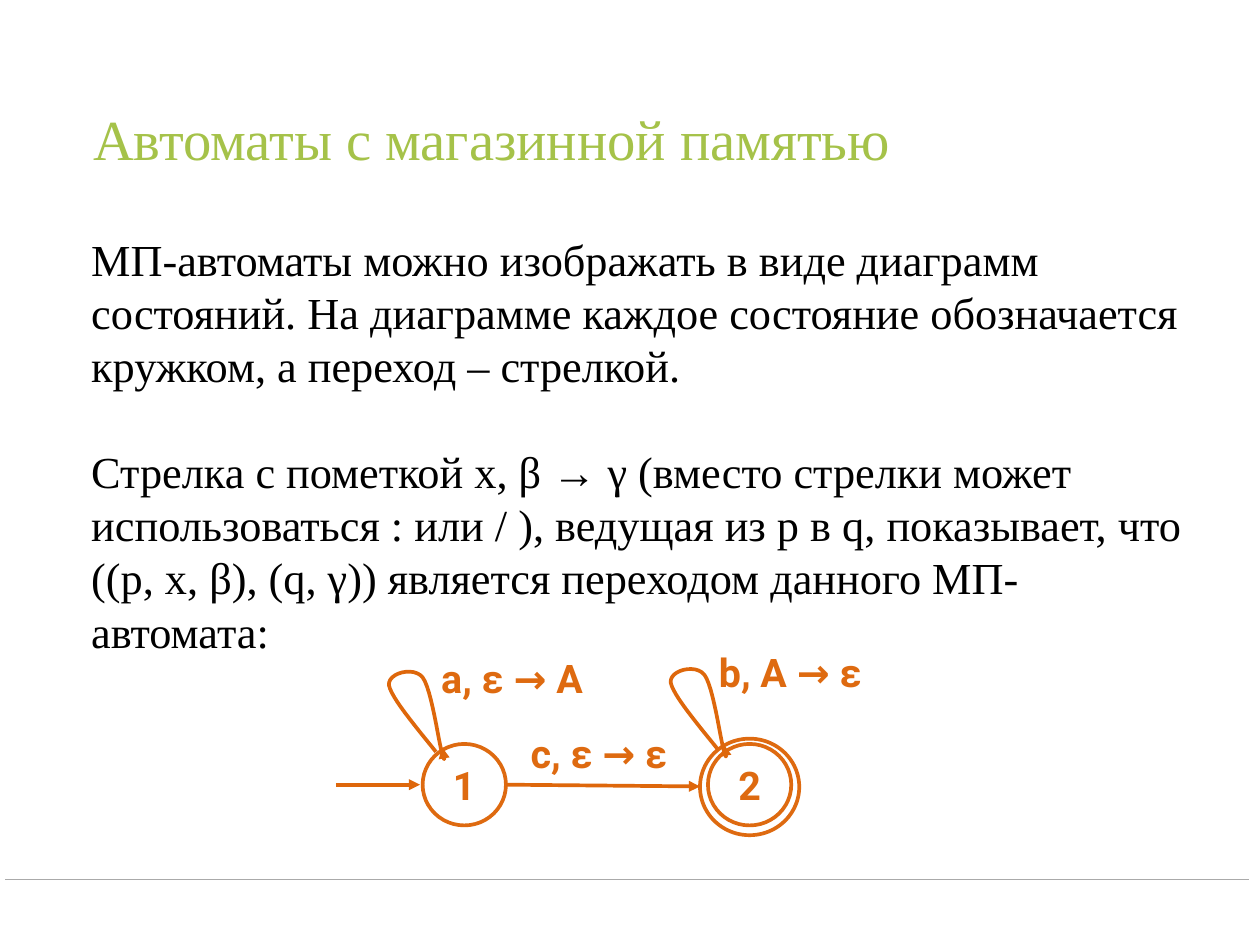
from pptx import Presentation
from pptx.dml.color import RGBColor as RGB
from pptx.enum.shapes import MSO_CONNECTOR as CONN, MSO_SHAPE as SHAPE
from pptx.enum.text import MSO_ANCHOR as ANCHOR, PP_ALIGN as ALIGN
from pptx.oxml.ns import qn
from pptx.util import Pt
from lxml.etree import SubElement

PX = 9144  # EMU per px, 100 px to the inch


class Theme:
    title, text, rule = RGB(0xA5, 0xC2, 0x49), RGB(0, 0, 0), RGB(0xAA, 0xAA, 0xAA)
    state, edge, paper = RGB(0xDE, 0x6A, 0x10), RGB(0xDE, 0x67, 0x0B), RGB(255, 255, 255)
    serif, sans = "Times New Roman", "Roboto"
    title_pt, body_pt, label_pt = 46, 36, 32
    rule_pt, edge_pt = 1, 3


TITLE = dict(name=Theme.serif, size=Pt(Theme.title_pt), color=Theme.title)
BODY = dict(name=Theme.serif, size=Pt(Theme.body_pt), color=Theme.text)
LABEL = dict(name=Theme.sans, size=Pt(Theme.label_pt), color=Theme.state, bold=True)


def emu(*values):
    return [round(v * PX) for v in values]


def write(sp, paragraphs, font, inset, para=None, wrap=True, anchor=ANCHOR.MIDDLE):
    tf = sp.text_frame
    frame = dict(word_wrap=wrap, vertical_anchor=anchor)
    frame.update({f"margin_{side}": inset * PX for side in ("left", "top", "right", "bottom")})
    for key, value in frame.items():
        setattr(tf, key, value)
    for i, text in enumerate(paragraphs):
        p = tf.add_paragraph() if i else tf.paragraphs[0]
        for key, value in (para or {}).items():
            setattr(p, key, value)
        r = p.add_run()
        r.text = text
        for key, value in font.items():
            if key == "color":
                r.font.color.rgb = value
            else:
                setattr(r.font, key, value)
    return tf


def stroke(sp, color, width, arrow=False):
    sp.line.color.rgb = color
    sp.line.width = Pt(width)
    if arrow:
        SubElement(sp.line._get_or_add_ln(), qn("a:tailEnd"), type="triangle")


def line(s, start, end, color, width, arrow=False):
    sp = s.shapes.add_connector(CONN.STRAIGHT, *emu(*start, *end))
    stroke(sp, color, width, arrow)
    SubElement(sp._element.spPr, qn("a:effectLst"))


def title(s, x, y, w, h):
    sp = s.shapes.add_textbox(*emu(x, y, w, h))
    write(sp, ["Автоматы с магазинной памятью"], TITLE, 7, dict(line_spacing=0.9))


def body(s, x, y, w, h):
    sp = s.shapes.add_textbox(*emu(x, y, w, h))
    tf = write(sp, [
        "МП-автоматы можно изображать в виде диаграмм состояний. На диаграмме каждое "
        "состояние обозначается кружком, а переход – стрелкой.",
        "Стрелка с пометкой x, β → γ (вместо стрелки может использоваться : или / ), "
        "ведущая из p в q, показывает, что ((p, x, β), (q, γ)) является переходом "
        "данного МП-автомата:",
    ], BODY, 7, anchor=ANCHOR.TOP)
    tf.paragraphs[1].space_before = Pt(43)


def circle(s, x, y, w, h, name=None):
    sp = s.shapes.add_shape(SHAPE.OVAL, *emu(x, y, w, h))
    sp.shadow.inherit = False
    sp.fill.solid()
    sp.fill.fore_color.rgb = Theme.paper
    stroke(sp, Theme.state, Theme.edge_pt)
    if name:
        write(sp, [name], LABEL, 6, dict(alignment=ALIGN.CENTER))


def label(s, x, y, text):
    sp = s.shapes.add_textbox(*emu(x, y, 186, 65))
    write(sp, [text], LABEL, 6, dict(alignment=ALIGN.CENTER), wrap=False)


def bezier(a, b, c, d, steps=12):
    for i in range(1, steps + 1):
        t = i / steps
        u = 1 - t
        yield tuple(u**3 * m + 3 * u * u * t * n + 3 * u * t * t * o + t**3 * q
                    for m, n, o, q in zip(a, b, c, d))


def loop(s, x, y):
    """Self-transition: three joined curves ending in an arrowhead."""
    knots = [(53, 91), (28, 60), (3, 30), (0, 16), (-2, 2), (28, -6), (38, 7),
             (48, 20), (56, 80), (60, 93), (64, 106), (62, 96), (60, 86)]
    knots = [(x + dx, y + dy) for dx, dy in knots]
    points = [q for i in range(0, len(knots) - 1, 3) for q in bezier(*knots[i:i + 4])]
    fb = s.shapes.build_freeform(*emu(*knots[0]), scale=1.0)
    fb.add_line_segments([emu(*q) for q in points], close=False)
    sp = fb.convert_to_shape()
    sp.shadow.inherit = False
    sp.fill.background()
    stroke(sp, Theme.edge, Theme.edge_pt, arrow=True)


def diagram(s, x, y):
    # States: the accepting one has a double ring
    circle(s, x + 411, y + 108, 112, 109)
    for dx, name in ((98, "1"), (420, "2")):
        circle(s, x + dx, y + 114, 94, 92, name)
    # Transitions
    for start, end in (((0, 160), (95, 160)), ((192, 160), (411, 162))):
        line(s, (x + start[0], y + start[1]), (x + end[0], y + end[1]),
             Theme.edge, Theme.edge_pt, arrow=True)
    for dx, dy in ((60, 32), (378, 29)):
        loop(s, x + dx, y + dy)
    # Transition labels
    for dx, dy, text in ((204, 92, "c, ε → ε"), (106, 7, "a, ε → A"), (420, 0, "b, A → ε")):
        label(s, x + dx, y + dy, text)


def main():
    prs = Presentation()
    prs.slide_width, prs.slide_height = emu(1422, 1067)
    s = prs.slides.add_slide(prs.slide_layouts[6])
    title(s, 98, 57, 1227, 206)
    line(s, (6, 993), (1410, 993), Theme.rule, Theme.rule_pt)
    body(s, 96, 255, 1253, 783)
    diagram(s, 379, 726)
    prs.save("out.pptx")


if __name__ == "__main__":
    main()
